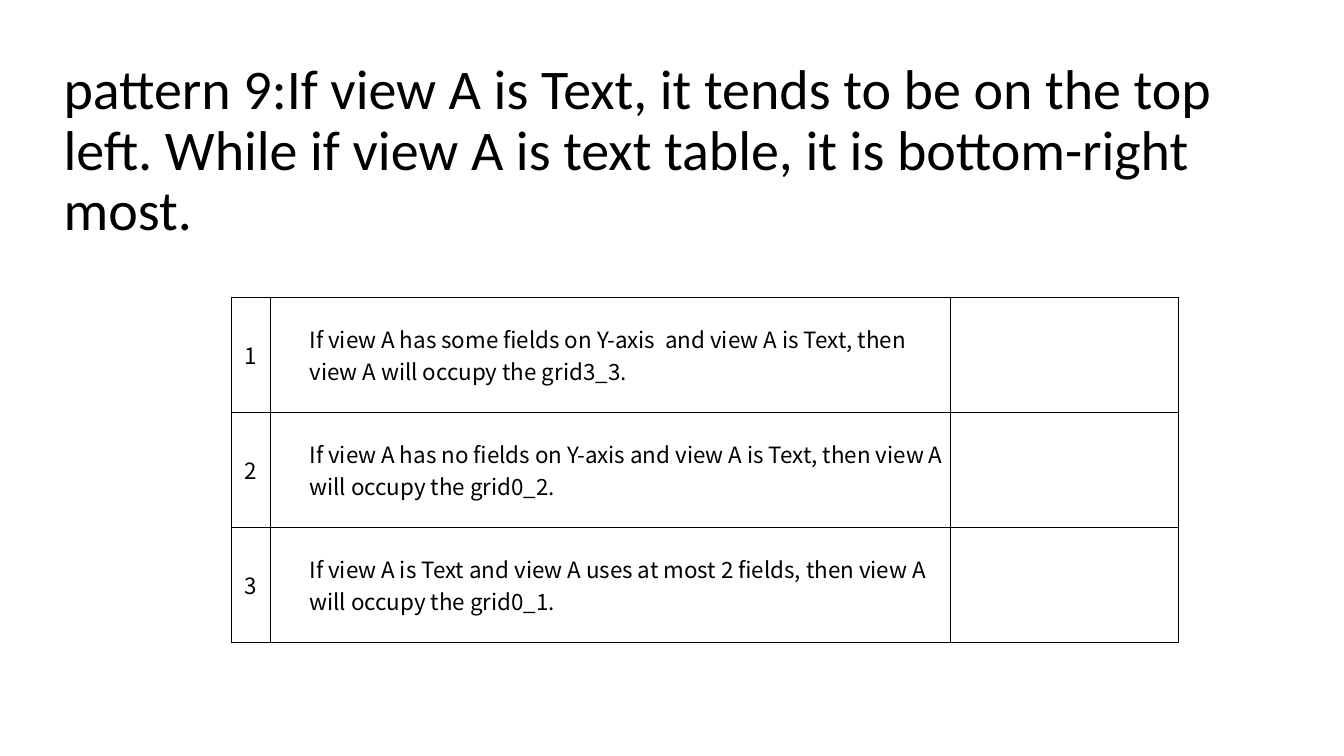
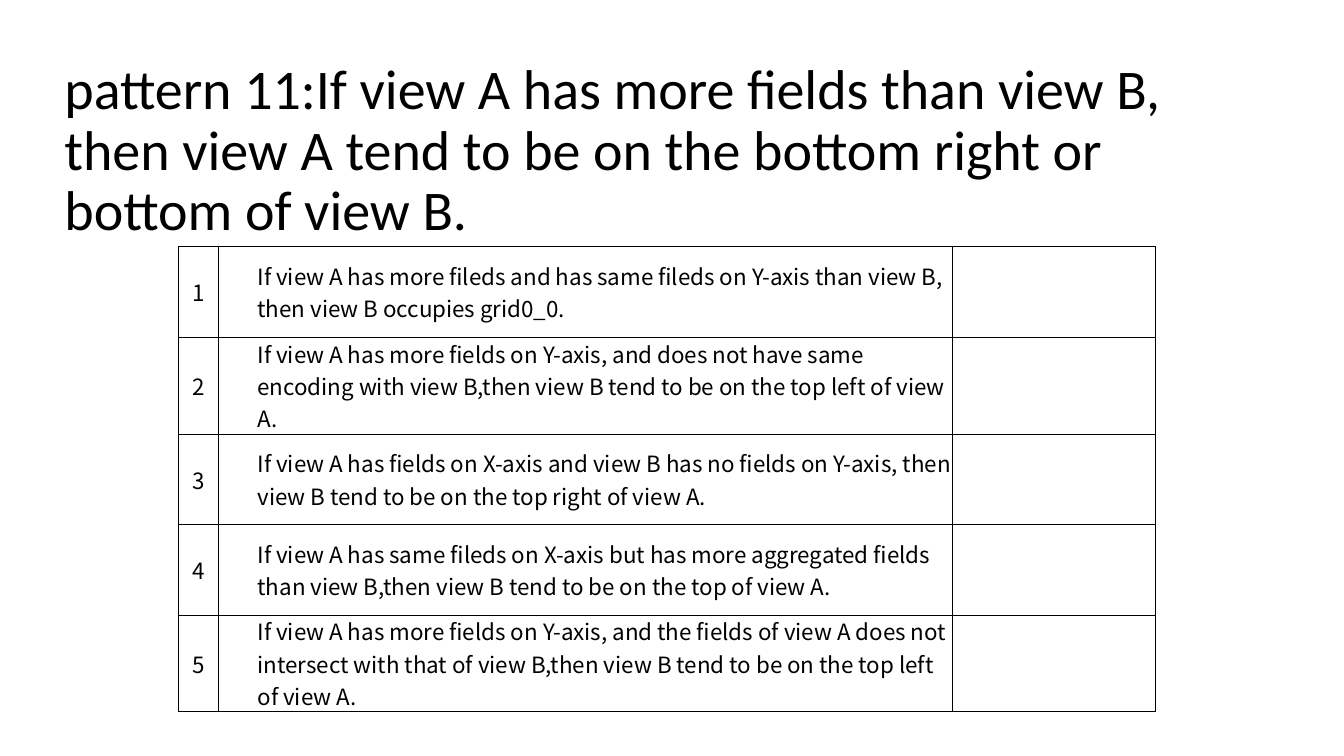
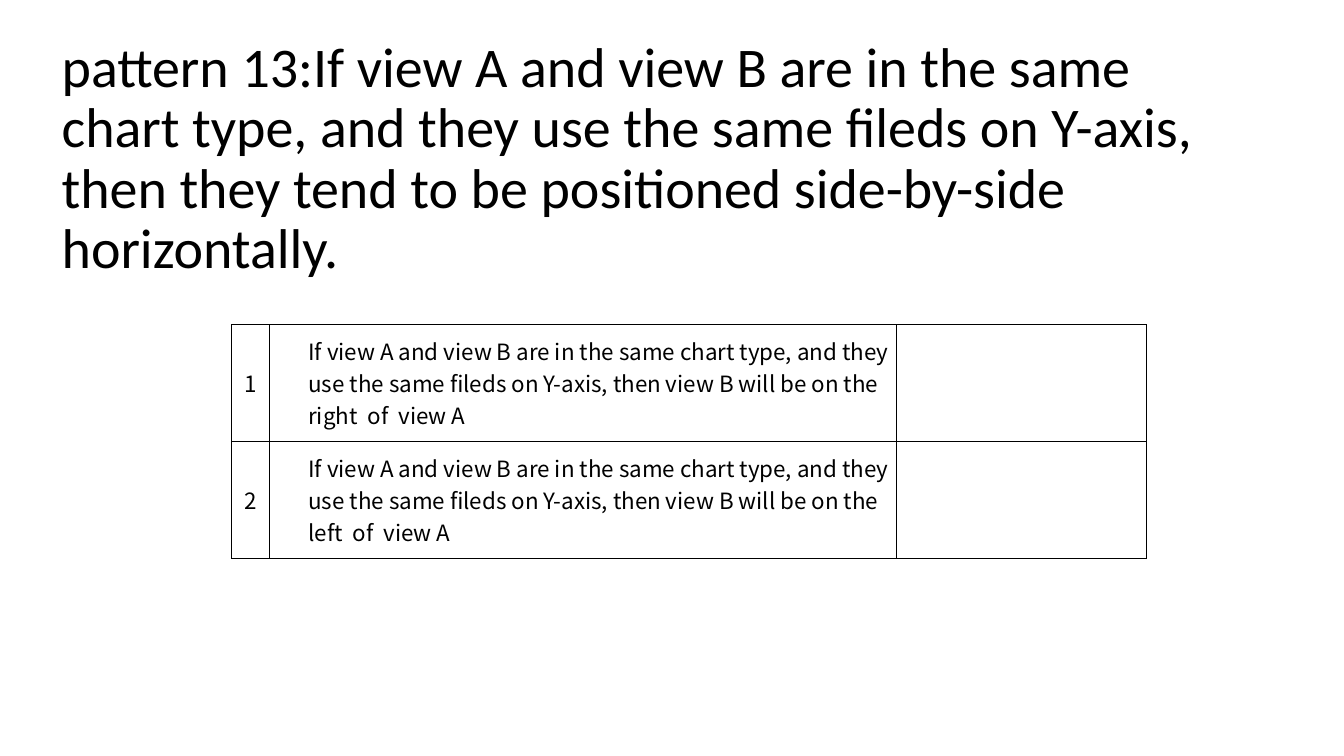
"""Build three slides of layout patterns, each a title above a ruled table."""
from lxml.etree import SubElement
from pptx import Presentation
from pptx.dml.color import RGBColor
from pptx.enum.text import MSO_ANCHOR as Anchor, MSO_AUTO_SIZE as AutoSize, PP_ALIGN as Align
from pptx.oxml.ns import qn
from pptx.util import Cm, Pt

PATTERNS = [
    {
        "title": "pattern 9:If view A is Text, it tends to be on the top left. "
                 "While if view A is text table, it is bottom-right most.",
        "title_at": (1.35, 2.16),
        "table_at": (5.84, 7.49),
        "columns": (0.97, 17.15, 5.74),
        "row_height": 2.9,
        "rules": [
            "If view A has some fields on Y-axis  and view A is Text, "
            "then view A will occupy the grid3_3.",
            "If view A has no fields on Y-axis and view A is Text, "
            "then view A will occupy the grid0_2.",
            "If view A is Text and view A uses at most 2 fields, "
            "then view A will occupy the grid0_1.",
        ],
    },
    {
        "title": "pattern 11:If view A has more fields than view B, then view A "
                 "tend to be on the bottom right or bottom of view B.",
        "title_at": (1.37, 2.16),
        "table_at": (4.5, 6.22),
        "columns": (1, 18.5, 5.13),
        "row_height": 2.28,
        "rules": [
            "If view A has more fileds and has same fileds on Y-axis than view B, "
            "then view B occupies grid0_0.",
            "If view A has more fields on Y-axis, and does not have same encoding "
            "with view B,then view B tend to be on the top left of view A.",
            "If view A has fields on X-axis and view B has no fields on Y-axis, "
            "then view B tend to be on the top right of view A.",
            "If view A has same fileds on X-axis but has more aggregated fields "
            "than view B,then view B tend to be on the top of view A.",
            "If view A has more fields on Y-axis, and the fields of view A does not "
            "intersect with that of view B,then view B tend to be on the top left "
            "of view A.",
        ],
    },
    {
        "title": "pattern 13:If view A and view B are in the same chart type, and "
                 "they use the same fileds on Y-axis, then they tend to be "
                 "positioned side-by-side horizontally.",
        "title_at": (1.3, 3.12),
        "table_at": (5.84, 8.18),
        "columns": (0.94, 15.8, 6.32),
        "row_height": 2.94,
        "rules": [
            "If view A and view B are in the same chart type, and they use the same "
            "fileds on Y-axis, then view B will be on the right  of  view A",
            "If view A and view B are in the same chart type, and they use the same "
            "fileds on Y-axis, then view B will be on the left  of  view A",
        ],
    },
]

COLORS = {"text": "000000", "border": "000000"}
TITLE_FONT, TITLE_SIZE = "Calibri", 40
RULE_FONT, RULE_SIZE = "Noto Sans CJK SC", 16
TITLE_WIDTH, TITLE_HEIGHT = 30.56, 4.09
RULE_INDENT = Cm(0.99)
BORDER_WIDTH = Pt(0.75)
TITLE_ONLY = 5


def style_runs(paragraph, font_name, size):
    for run in paragraph.runs:
        run.font.name = font_name
        run.font.size = Pt(size)
        run.font.color.rgb = RGBColor.from_string(COLORS["text"])


def add_title(slide, text, left, top):
    title = slide.shapes.title
    title.left, title.top = Cm(left), Cm(top)
    title.width, title.height = Cm(TITLE_WIDTH), Cm(TITLE_HEIGHT)
    frame = title.text_frame
    frame.text = text
    frame.word_wrap = True
    frame.auto_size = AutoSize.NONE
    frame.vertical_anchor = Anchor.BOTTOM
    heading = frame.paragraphs[0]
    heading.alignment = Align.LEFT
    heading.line_spacing = 0.9
    style_runs(heading, TITLE_FONT, TITLE_SIZE)


def rule_cell(cell):
    properties = cell._tc.get_or_add_tcPr()
    for side in ("a:lnL", "a:lnR", "a:lnT", "a:lnB"):
        border = SubElement(properties, qn(side), w=str(BORDER_WIDTH))
        paint = SubElement(border, qn("a:solidFill"))
        SubElement(paint, qn("a:srgbClr"), val=COLORS["border"])
    cell.fill.background()
    cell.vertical_anchor = Anchor.MIDDLE
    cell.margin_left = cell.margin_right = cell.margin_top = cell.margin_bottom = 0


def add_rules(slide, rules, left, top, columns, row_height):
    table = slide.shapes.add_table(
        len(rules), len(columns), Cm(left), Cm(top),
        Cm(sum(columns)), Cm(row_height * len(rules))).table
    table.first_row = table.horz_banding = False
    for column, width in zip(table.columns, columns):
        column.width = Cm(width)
    for number, (row, rule) in enumerate(zip(table.rows, rules), start=1):
        row.height = Cm(row_height)
        for cell in row.cells:
            rule_cell(cell)
        for cell, text in zip(row.cells, (str(number), rule)):
            cell.text = text
            style_runs(cell.text_frame.paragraphs[0], RULE_FONT, RULE_SIZE)
        row.cells[0].text_frame.paragraphs[0].alignment = Align.CENTER
        statement = row.cells[1].text_frame.paragraphs[0]
        statement._p.get_or_add_pPr().set("marL", str(RULE_INDENT))


deck = Presentation()
deck.slide_width, deck.slide_height = Cm(33.87), Cm(19.05)
for pattern in PATTERNS:
    slide = deck.slides.add_slide(deck.slide_layouts[TITLE_ONLY])
    add_title(slide, pattern["title"], *pattern["title_at"])
    add_rules(slide, pattern["rules"], *pattern["table_at"],
              pattern["columns"], pattern["row_height"])
deck.save("out.pptx")
